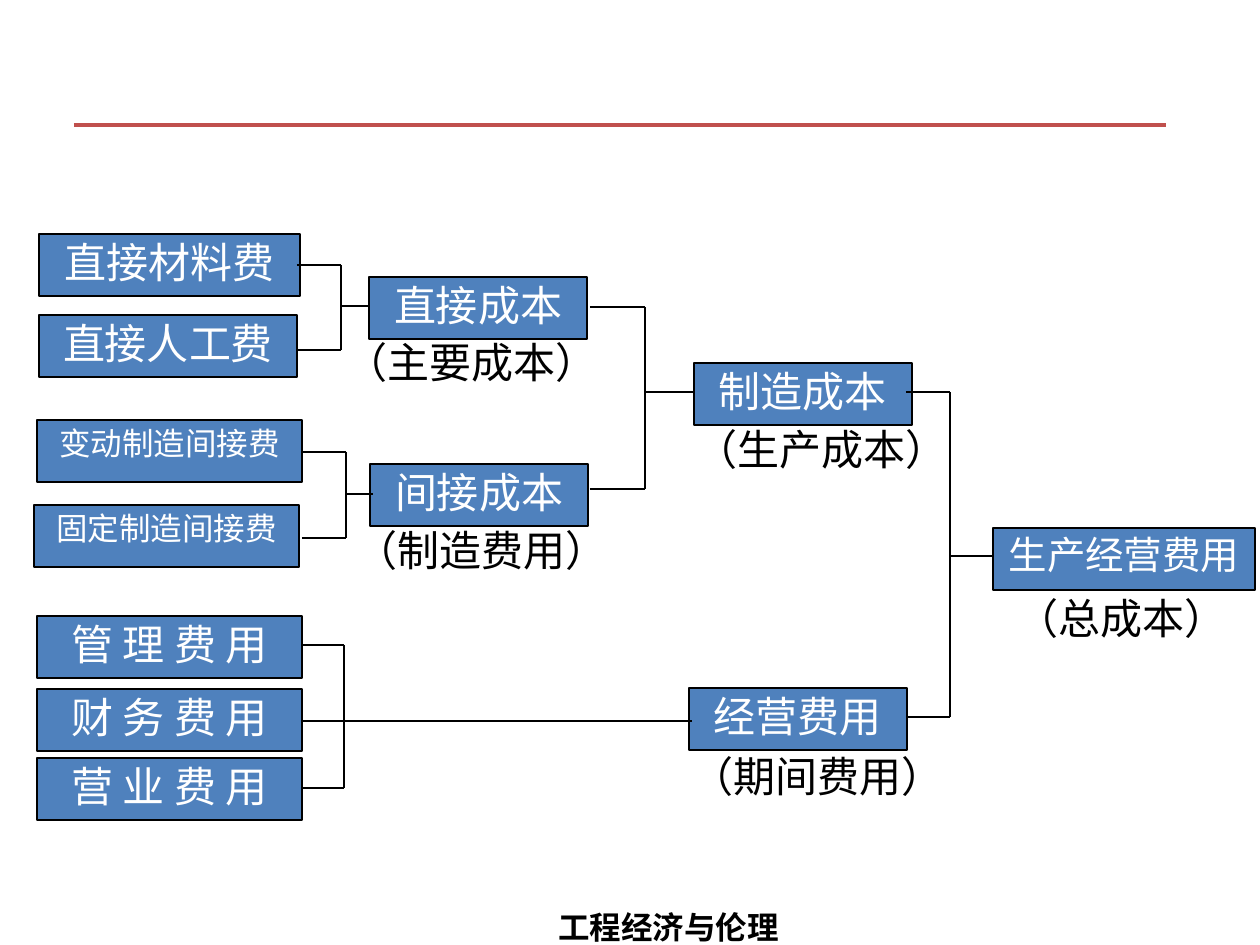
from dataclasses import dataclass

from lxml.etree import SubElement
from pptx import Presentation
from pptx.dml.color import RGBColor
from pptx.enum.shapes import MSO_CONNECTOR as Connector, MSO_SHAPE as Shape
from pptx.enum.text import MSO_ANCHOR as Anchor, PP_ALIGN as Align
from pptx.oxml.ns import qn
from pptx.util import Emu, Pt

BLUE = RGBColor(0x4F, 0x81, 0xBD)
RED = RGBColor(0xC0, 0x50, 0x4D)
BLACK = RGBColor(0, 0, 0)
WHITE = RGBColor(255, 255, 255)
FONT = "Times New Roman"
BOX_HEIGHT = 62


def px(length):
    return Emu(round(length * 914400 / 126))


@dataclass
class Label:
    """Text with its offset from the branch corner and its width."""
    text: str
    left: int
    top: int
    width: int
    size: int = 24


@dataclass
class Bracket:
    """Stubs run from start to the spine; the outlet runs on to end."""
    start: int
    spine: int
    stubs: tuple
    outlet: int
    outlet_start: int
    end: int


@dataclass
class Branch:
    left: int
    top: int
    inputs: list
    bracket: Bracket
    result: Label
    caption: Label


BRANCHES = [
    Branch(39, 234,
           [Label("直接材料费", 0, 0, 261), Label("直接人工费", 0, 81, 258)],
           Bracket(258, 302, (31, 116), 72, 302, 330),
           Label("直接成本", 330, 43, 218), Label("（主要成本）", 294, 100, 278)),
    Branch(34, 420,
           [Label("变动制造间接费", 3, 0, 265, 18),
            Label("固定制造间接费", 0, 85, 265, 18)],
           Bracket(268, 312, (32, 118), 74, 312, 339),
           Label("间接成本", 336, 44, 218), Label("（制造费用）", 309, 102, 292)),
    Branch(590, 277, [],
           Bracket(0, 55, (30, 212), 115, 55, 105),
           Label("制造成本", 104, 86, 218), Label("（生产成本）", 93, 144, 285)),
    Branch(37, 616,
           [Label("管 理 费 用", 0, 0, 265), Label("财 务 费 用", 0, 73, 265),
            Label("营 业 费 用", 0, 142, 265)],
           Bracket(265, 307, (29, 172), 105, 265, 655),
           Label("经营费用", 652, 72, 218), Label("（期间费用）", 642, 132, 289)),
    Branch(906, 363, [],
           Bracket(0, 44, (29, 354), 193, 44, 87),
           Label("生产经营费用", 87, 165, 262, 22),
           Label("（总成本）", 98, 227, 256)),
]


def add_line(page, x1, y1, x2, y2, color=BLACK, weight=0.75):
    line = page.shapes.add_connector(
        Connector.STRAIGHT, px(x1), px(y1), px(x2), px(y2))
    line.line.color.rgb = color
    line.line.width = Pt(weight)
    SubElement(line.element.spPr, qn("a:effectLst"))


def write(shape, text, size, color, align, spacing, bold=False):
    frame = shape.text_frame
    frame.text = text
    frame.vertical_anchor = Anchor.TOP
    para = frame.paragraphs[0]
    para.alignment = align
    para.line_spacing = spacing
    font = para.runs[0].font
    font.name, font.size, font.bold = FONT, Pt(size), bold
    font.color.rgb = color


def add_cost_box(page, left, top, label):
    box = page.shapes.add_shape(
        Shape.RECTANGLE, px(left + label.left), px(top + label.top),
        px(label.width), px(BOX_HEIGHT))
    box.shadow.inherit = False
    box.fill.solid()
    box.fill.fore_color.rgb = BLUE
    box.line.color.rgb = BLACK
    box.line.width = Pt(0.75)
    write(box, label.text, label.size, WHITE, Align.CENTER, 0.96)


def add_caption(page, left, top, label):
    caption = page.shapes.add_textbox(
        px(left + label.left), px(top + label.top),
        px(label.width), px(BOX_HEIGHT))
    caption.text_frame.word_wrap = True
    write(caption, label.text, label.size, BLACK, Align.JUSTIFY, 0.96)


def add_bracket(page, left, top, bracket):
    spine = left + bracket.spine
    for stub in bracket.stubs:
        add_line(page, left + bracket.start, top + stub, spine, top + stub)
    add_line(page, spine, top + bracket.stubs[0], spine, top + bracket.stubs[-1])
    outlet = top + bracket.outlet
    add_line(page, left + bracket.outlet_start, outlet, left + bracket.end, outlet)


def add_branch(page, branch):
    left, top = branch.left, branch.top
    for label in branch.inputs:
        add_cost_box(page, left, top, label)
    add_caption(page, left, top, branch.caption)
    add_cost_box(page, left, top, branch.result)
    add_bracket(page, left, top, branch.bracket)


def add_footer(page, left, top, width, height):
    footer = page.shapes.add_textbox(px(left), px(top), px(width), px(height))
    footer.text_frame.word_wrap = False
    write(footer, "工程经济与伦理", 18, BLACK, Align.LEFT, 1.5, bold=True)


def main():
    deck = Presentation()
    deck.slide_width, deck.slide_height = px(1260), px(945)
    page = deck.slides.add_slide(deck.slide_layouts[6])

    # Header rule and footer
    add_line(page, 74, 125, 1166, 125, RED, 2)
    add_footer(page, 546, 883, 246, 69)

    # Cost tree
    for branch in BRANCHES:
        add_branch(page, branch)

    deck.save("out.pptx")


if __name__ == "__main__":
    main()
